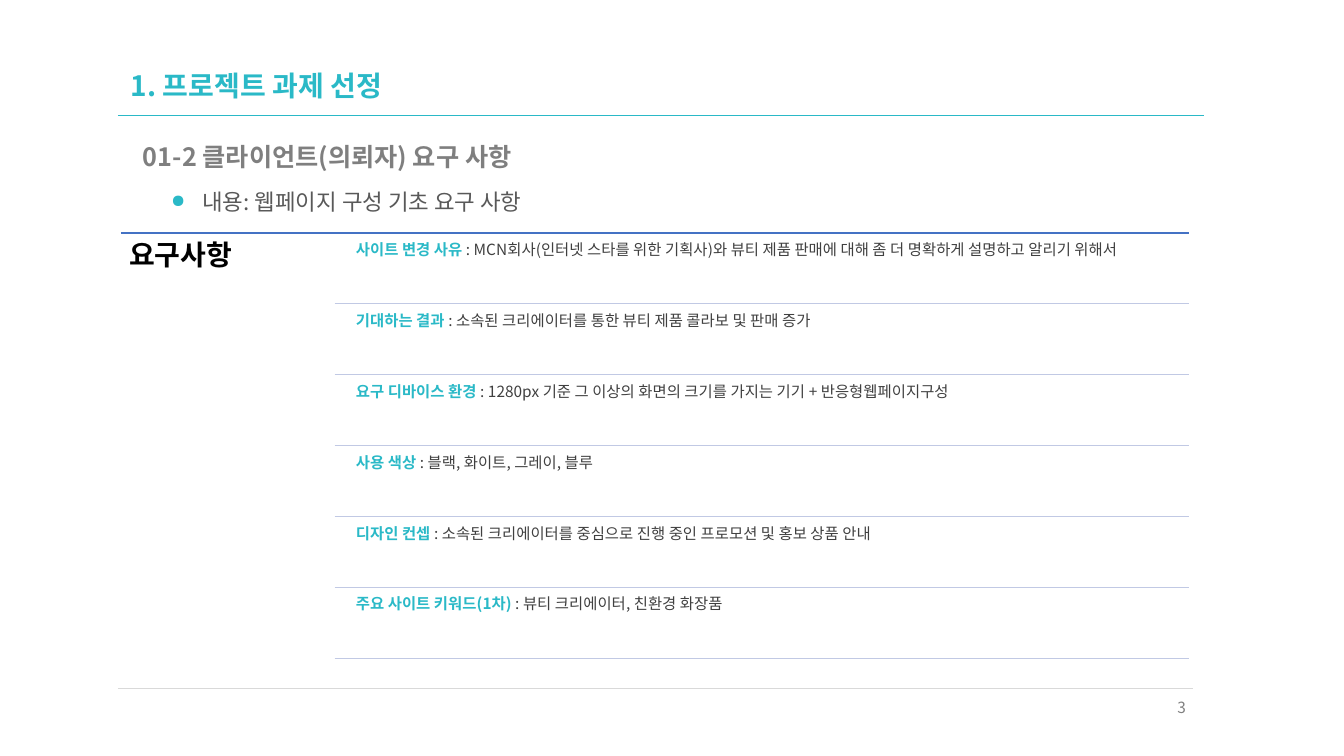
from lxml.etree import SubElement
from pptx import Presentation
from pptx.dml.color import RGBColor
from pptx.enum.shapes import MSO_CONNECTOR
from pptx.enum.text import MSO_ANCHOR, PP_ALIGN
from pptx.oxml.ns import qn
from pptx.util import Inches, Pt

FONT = "Noto Sans CJK KR"
TEAL = RGBColor(0x2A, 0xB9, 0xC7)
BLUE = RGBColor(0x44, 0x72, 0xC4)
PALE_BLUE = RGBColor(0xC1, 0xC9, 0xE4)
PALE_GRAY = RGBColor(0xD9, 0xD9, 0xD9)
GRAY = RGBColor(0x7F, 0x7F, 0x7F)
PAGE_GRAY = RGBColor(0x80, 0x80, 0x80)
DARK_GRAY = RGBColor(0x59, 0x59, 0x59)
TEXT_GRAY = RGBColor(0x40, 0x40, 0x40)
BLACK = RGBColor(0, 0, 0)

ROW_TOP, ROW_PITCH, ROW_HEIGHT = 2.35, 0.704, 0.66
REQUIREMENTS = [
    ("사이트 변경 사유 ", ": MCN회사(인터넷 스타를 위한 기획사)와 뷰티 제품 판매에 대해 "
     "좀 더 명확하게 설명하고 알리기 위해서"),
    ("기대하는 결과 ", ": 소속된 크리에이터를 통한 뷰티 제품 콜라보 및 판매 증가"),
    ("요구 디바이스 환경 ", ": 1280px 기준 그 이상의 화면의 크기를 가지는 기기 + 반응형웹페이지구성"),
    ("사용 색상 ", ": 블랙, 화이트, 그레이, 블루"),
    ("디자인 컨셉 ", ": 소속된 크리에이터를 중심으로 진행 중인 프로모션 및 홍보 상품 안내"),
    ("주요 사이트 키워드(1차) ", ": 뷰티 크리에이터, 친환경 화장품"),
]


def set_font(font, size, color, bold=False):
    font.size, font.bold, font.name = Pt(size), bold, FONT
    font.color.rgb = color
    # Korean letters take the East Asian typeface
    SubElement(font._element, qn("a:ea"), typeface=FONT)


def add_box(page, left, top, width, height, inset=None):
    """Add a wrapping text box and return its first paragraph."""
    box = page.shapes.add_textbox(Inches(left), Inches(top), Inches(width), Inches(height))
    frame = box.text_frame
    frame.word_wrap = True
    if inset is not None:
        frame.margin_left = frame.margin_right = Inches(inset)
        frame.margin_top = frame.margin_bottom = Inches(inset)
    paragraph = frame.paragraphs[0]
    paragraph.line_spacing = 0.9
    return frame, paragraph


def add_text(page, place, text, size, color, bold=False, inset=None):
    frame, paragraph = add_box(page, *place, inset=inset)
    paragraph.text = text
    set_font(paragraph.font, size, color, bold)
    return frame, paragraph


def add_bullet(paragraph, color, indent):
    properties = paragraph._p.get_or_add_pPr()
    properties.set("marL", str(Inches(indent)))
    properties.set("indent", str(-Inches(indent)))
    default_font = properties.find(qn("a:defRPr"))
    bullet_color = SubElement(properties, qn("a:buClr"))
    SubElement(bullet_color, qn("a:srgbClr"), val=str(color))
    SubElement(properties, qn("a:buSzPct"), val="80000")
    SubElement(properties, qn("a:buChar"), char="●")
    properties.append(default_font)  # the schema wants the font last


def add_rule(page, left, right, top, color, width):
    rule = page.shapes.add_connector(
        MSO_CONNECTOR.STRAIGHT, Inches(left), Inches(top), Inches(right), Inches(top))
    rule.line.color.rgb = color
    rule.line.width = Pt(width)
    SubElement(rule._element.spPr, qn("a:effectLst"))


def add_requirement(page, top, label, detail):
    _, paragraph = add_box(page, 3.48, top, 8.31, ROW_HEIGHT, inset=0.05)
    for text, color, bold in ((label, TEAL, True), (detail, TEXT_GRAY, False)):
        span = paragraph.add_run()
        span.text = text
        set_font(span.font, 11, color, bold)
    add_rule(page, 3.32, 11.79, top + ROW_HEIGHT, PALE_BLUE, 1)


def main():
    deck = Presentation()
    deck.slide_width, deck.slide_height = Inches(13.33), Inches(7.5)
    page = deck.slides.add_slide(deck.slide_layouts[6])

    # Frame lines
    add_rule(page, 1.17, 11.94, 1.14, TEAL, 0.5)
    add_rule(page, 1.17, 11.83, 6.83, PALE_GRAY, 0.5)

    # Headings
    frame, _ = add_text(page, (1.2, 0.62, 10.78, 0.49), "1. 프로젝트 과제 선정", 20, TEAL, True)
    frame.vertical_anchor = MSO_ANCHOR.MIDDLE
    _, subtitle = add_text(page, (1.32, 1.39, 10.66, 0.34),
                           "01-2 클라이언트(의뢰자) 요구 사항", 18, GRAY, True)
    _, summary = add_text(page, (1.6, 1.85, 10.38, 0.34),
                          "내용: 웹페이지 구성 기초 요구 사항", 16, DARK_GRAY)
    subtitle.space_before = summary.space_before = Pt(10)
    add_bullet(summary, TEAL, 0.31)

    # Requirements
    add_rule(page, 1.2, 11.79, 2.31, BLUE, 1)
    add_text(page, (1.2, 2.31, 2.12, 4.28), "요구사항", 20, BLACK, True, inset=0.08)
    for index, (label, detail) in enumerate(REQUIREMENTS):
        add_requirement(page, ROW_TOP + index * ROW_PITCH, label, detail)

    # Page number
    _, number = add_text(page, (11.27, 6.88, 0.59, 0.4), "3", 11, PAGE_GRAY)
    number.alignment = PP_ALIGN.RIGHT
    number.line_spacing = 1.0

    deck.save("out.pptx")


if __name__ == "__main__":
    main()
